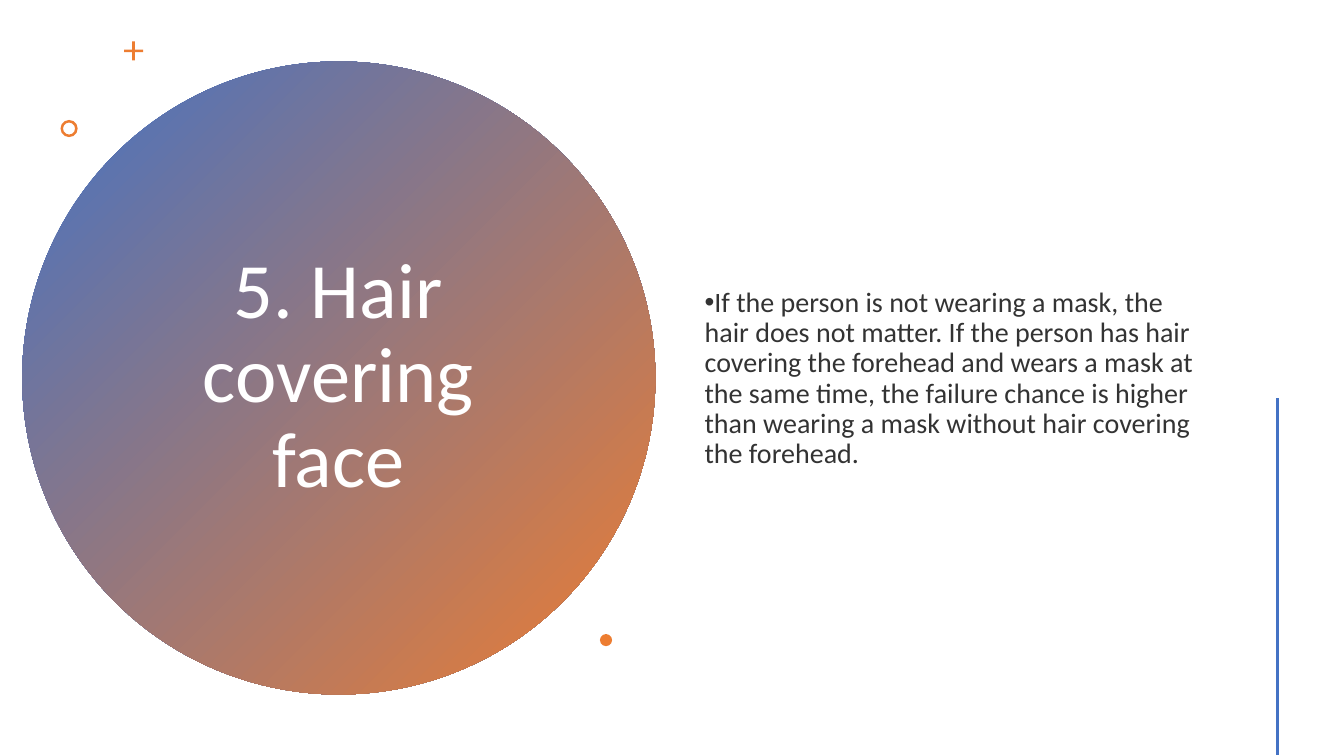
import pptx
import pptx.dml.color
import pptx.enum.shapes
import pptx.enum.text
import pptx.oxml
import pptx.oxml.ns
import pptx.util

SHAPES = pptx.enum.shapes.MSO_SHAPE
ALIGN = pptx.enum.text.PP_ALIGN
FONT = "Calibri"
COLORS = {
    "blue": "4472C4",
    "orange": "ED7D31",
    "title": "FFFFFF",
    "body": "333333",
}

# The grid has 100 columns and 100 rows
WIDTH = pptx.util.Inches(13.33)
HEIGHT = pptx.util.Inches(7.5)


def columns(count):
    return round(WIDTH * count / 100)


def rows(count):
    return round(HEIGHT * count / 100)


def color(name):
    return pptx.dml.color.RGBColor.from_string(COLORS[name])


def add_round_shape(slide, kind, left, top, size, adjustment=None):
    """Add a shape as tall as it is wide; size is in columns."""
    shape = slide.shapes.add_shape(
        kind, columns(left), rows(top), columns(size), columns(size))
    shape.shadow.inherit = False
    shape.line.fill.background()
    shape.fill.solid()
    shape.fill.fore_color.rgb = color("orange")
    if adjustment is not None:
        shape.adjustments[0] = adjustment
    return shape


def add_gradient_circle(slide, left, top, size):
    circle = add_round_shape(slide, SHAPES.OVAL, left, top, size)
    circle.fill.gradient()
    circle.fill.gradient_angle = 315
    for stop, name in zip(circle.fill.gradient_stops, ("blue", "orange")):
        stop.color.rgb = color(name)


def add_text(slide, area, text, size, color_name, alignment):
    left, top, width, height = area
    box = slide.shapes.add_textbox(
        columns(left), rows(top), columns(width), rows(height))
    frame = box.text_frame
    frame.word_wrap = True
    frame.vertical_anchor = pptx.enum.text.MSO_ANCHOR.MIDDLE
    paragraph = frame.paragraphs[0]
    paragraph.alignment = alignment
    paragraph.line_spacing = 0.9
    run = paragraph.add_run()
    run.text = text
    run.font.name = FONT
    run.font.size = pptx.util.Pt(size)
    run.font.color.rgb = color(color_name)
    return paragraph


def add_bullet(paragraph):
    paragraph.space_after = pptx.util.Pt(6)
    properties = paragraph._p.get_or_add_pPr()
    properties.set("marL", "0")
    properties.set("indent", str(-pptx.util.Inches(0.25)))
    namespace = pptx.oxml.ns.nsdecls("a")
    for tag in ('buFont typeface="Arial"', 'buChar char="•"'):
        properties.append(pptx.oxml.parse_xml(f"<a:{tag} {namespace}/>"))


def add_vertical_line(slide, left, top, bottom):
    line = slide.shapes.add_connector(
        pptx.enum.shapes.MSO_CONNECTOR.STRAIGHT,
        columns(left), rows(top), columns(left), rows(bottom))
    line.line.color.rgb = color("blue")
    line.line.width = pptx.util.Pt(2)
    namespace = pptx.oxml.ns.nsdecls("a")
    line._element.spPr.append(
        pptx.oxml.parse_xml(f"<a:effectLst {namespace}/>"))


def main():
    presentation = pptx.Presentation()
    presentation.slide_width = WIDTH
    presentation.slide_height = HEIGHT
    slide = presentation.slides.add_slide(presentation.slide_layouts[6])

    # Title circle
    add_gradient_circle(slide, 1.65, 8.13, 47.11)
    add_text(slide, (10.2, 18.8, 29.93, 62.27), "5. Hair covering face",
             56, "title", ALIGN.CENTER)

    # Small ornaments around the circle
    add_round_shape(slide, SHAPES.CROSS, 9.23, 5.47, 1.42, 0.43)
    add_round_shape(slide, SHAPES.DONUT, 4.5, 15.87, 1.28, 0.15)
    add_round_shape(slide, SHAPES.OVAL, 44.64, 83.87, 0.9)

    # Explanation
    explanation = add_text(
        slide, (51.69, 7.6, 39.16, 85.07),
        "If the person is not wearing a mask, the hair does not matter. "
        "If the person has hair covering the forehead and wears a mask at "
        "the same time, the failure chance is higher than wearing a mask "
        "without hair covering the forehead.",
        20, "body", ALIGN.LEFT)
    add_bullet(explanation)

    # Accent line at the right edge
    add_vertical_line(slide, 95.05, 52.67, 99.87)

    presentation.save("out.pptx")


if __name__ == "__main__":
    main()
